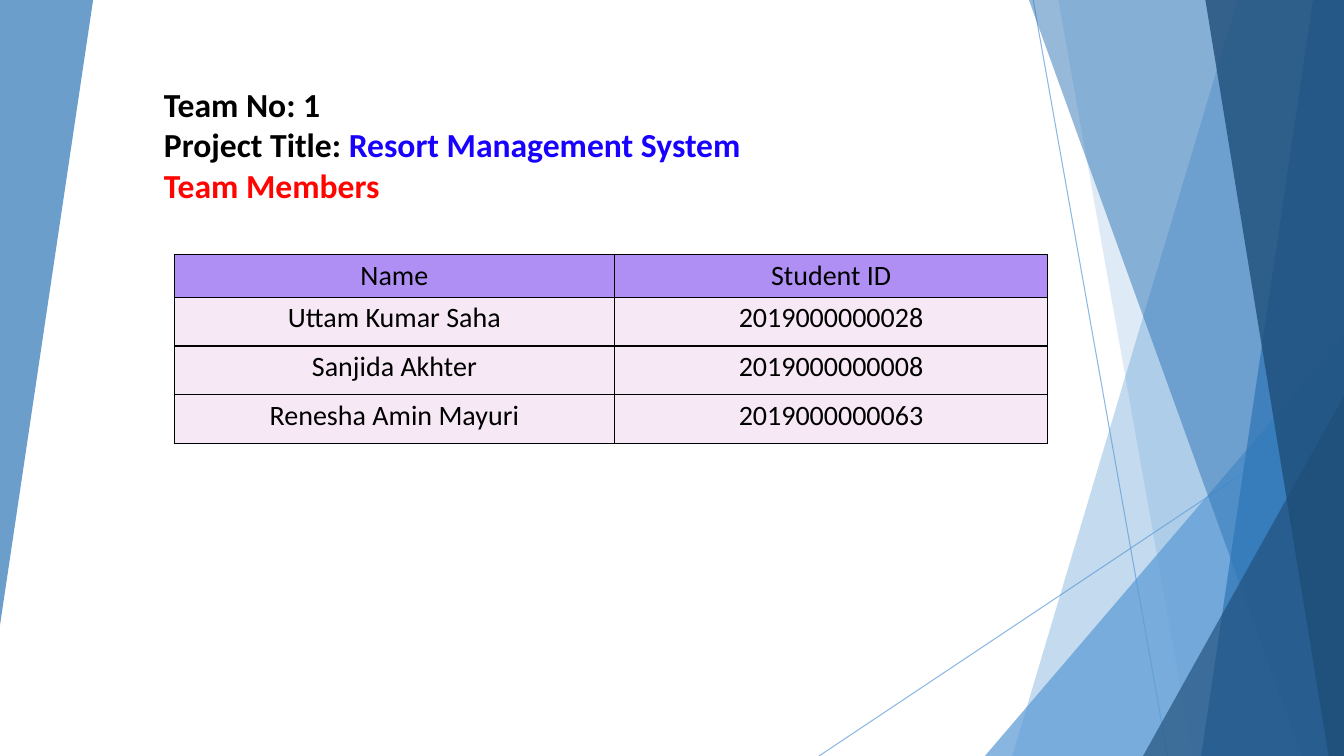
from dataclasses import dataclass

import pptx
import pptx.dml.color
import pptx.enum.shapes
import pptx.enum.text
import pptx.oxml
import pptx.oxml.ns
import pptx.util
from lxml import etree

Pt = pptx.util.Pt
qn = pptx.oxml.ns.qn
WIDTH, HEIGHT = 960, 540


@dataclass(frozen=True)
class Theme:
    """Colours and type sizes of the slide."""
    font: str = "Calibri"
    heading_size: int = 24
    table_size: int = 20
    black: str = "000000"
    title_blue: str = "1800FF"
    member_red: str = "FF0400"
    header_fill: str = "AF8FF4"
    body_fill: str = "F6E9F5"
    light: str = "5B9BD5"
    medium: str = "2E75B6"
    dark: str = "1F4E79"


THEME = Theme()


def rgb(value):
    """Return the colour object for a hex value."""
    return pptx.dml.color.RGBColor.from_string(value)


def set_alpha(element, percent):
    """Make the first colour inside an element partly transparent."""
    color = next(element.iter(qn("a:srgbClr")))
    etree.SubElement(color, qn("a:alpha")).set("val", str(percent * 1000))


def paint(shape, color, percent):
    """Give a facet its translucent fill, without outline or shadow."""
    shape.shadow.inherit = False
    shape.fill.solid()
    shape.fill.fore_color.rgb = rgb(color)
    set_alpha(shape.fill._xPr, percent)
    shape.line.fill.background()


def add_ray(slide, start, end):
    """Draw one thin translucent line."""
    ray = slide.shapes.add_connector(
        pptx.enum.shapes.MSO_CONNECTOR.STRAIGHT, *map(Pt, start + end))
    ray.line.width = Pt(0.75)
    ray.line.color.rgb = rgb(THEME.light)
    properties = ray._element.spPr
    set_alpha(properties, 70)
    etree.SubElement(properties, qn("a:effectLst"))


def add_panel(slide, box, top_left, bottom_left, color, percent):
    """Draw a full-height panel with a slanted left edge, flush with the box's right."""
    left, top, width, height = box
    right, bottom = left + width, top + height
    builder = slide.shapes.build_freeform(left + top_left, top, scale=Pt(1))
    builder.add_line_segments(
        [(right, top), (right, bottom), (left + bottom_left, bottom)], close=True)
    paint(builder.convert_to_shape(), color, percent)


def add_wedge(slide, box, color, percent, rotation=0):
    """Draw a right triangle whose apex is above its right end."""
    wedge = slide.shapes.add_shape(
        pptx.enum.shapes.MSO_SHAPE.ISOSCELES_TRIANGLE, *map(Pt, box))
    wedge.adjustments[0] = 1
    wedge.rotation = rotation
    paint(wedge, color, percent)


def add_right_facets(slide, box):
    """Build the overlapping facets on the right of the slide."""
    left, top, width, height = box
    right, bottom = left + width, top + height
    add_ray(slide, (left + 35, top), (left + 131, bottom))
    add_ray(slide, (right, top + 290), (left - 118, bottom))

    def corner_wedge(wedge_width, wedge_height, color, percent):
        add_wedge(slide, (right - wedge_width, bottom - wedge_height,
                          wedge_width, wedge_height), color, percent)

    add_panel(slide, box, 181, 20, THEME.light, 36)
    add_panel(slide, box, 53, 149, THEME.light, 20)
    corner_wedge(256.5, 300, THEME.light, 72)
    add_panel(slide, box, 32, 226.5, THEME.medium, 50)
    add_panel(slide, box, 235, 155, THEME.medium, 70)
    add_panel(slide, box, 158, 246, THEME.dark, 80)
    corner_wedge(143.5, 257, THEME.dark, 66)


def add_heading(slide, box):
    """Write the team number, project title and member heading."""
    frame = slide.shapes.add_textbox(*map(Pt, box)).text_frame
    frame.word_wrap = False
    frame.auto_size = pptx.enum.text.MSO_AUTO_SIZE.SHAPE_TO_FIT_TEXT
    frame.vertical_anchor = pptx.enum.text.MSO_ANCHOR.MIDDLE
    lines = [
        [("Team No: 1", THEME.black)],
        [("Project Title: ", THEME.black),
         ("Resort Management System", THEME.title_blue)],
        [("Team Members", THEME.member_red)],
    ]
    for index, pieces in enumerate(lines):
        paragraph = frame.add_paragraph() if index else frame.paragraphs[0]
        paragraph.font.name = THEME.font
        paragraph.font.size = Pt(THEME.heading_size)
        paragraph.font.bold = True
        for text, color in pieces:
            run = paragraph.add_run()
            run.text = text
            run.font.color.rgb = rgb(color)


def style_cell(cell, text, fill):
    """Fill, border and label one table cell."""
    properties = cell._tc.get_or_add_tcPr()
    for side in ("L", "R", "T", "B"):
        border = etree.SubElement(properties, qn(f"a:ln{side}"), w=str(Pt(1)))
        solid = etree.SubElement(border, qn("a:solidFill"))
        etree.SubElement(solid, qn("a:srgbClr"), val=THEME.black)
    cell.fill.solid()
    cell.fill.fore_color.rgb = rgb(fill)
    cell.margin_left = cell.margin_right = Pt(2.9)
    cell.margin_top = cell.margin_bottom = Pt(2.9)
    cell.text = text
    paragraph = cell.text_frame.paragraphs[0]
    paragraph.alignment = pptx.enum.text.PP_ALIGN.CENTER
    paragraph.font.name = THEME.font
    paragraph.font.size = Pt(THEME.table_size)
    paragraph.font.bold = False
    paragraph.font.color.rgb = rgb(THEME.black)


def add_member_table(slide, box):
    """Build the table of team members."""
    members = [
        ("Name", "Student ID"),
        ("Uttam Kumar Saha", "2019000000028"),
        ("Sanjida Akhter", "2019000000008"),
        ("Renesha Amin Mayuri", "2019000000063"),
    ]
    left, top, width, height = box
    header_height, name_width = 30, 314.5
    body_height = (height - header_height) / (len(members) - 1)
    table = slide.shapes.add_table(len(members), 2, *map(Pt, box)).table
    table.columns[0].width = Pt(name_width)
    table.columns[1].width = Pt(width - name_width)
    for index, member in enumerate(members):
        table.rows[index].height = Pt(body_height if index else header_height)
        fill = THEME.body_fill if index else THEME.header_fill
        for column, text in enumerate(member):
            style_cell(table.cell(index, column), text, fill)


def main():
    """Build and save the team slide."""
    presentation = pptx.Presentation()
    presentation.slide_width, presentation.slide_height = Pt(WIDTH), Pt(HEIGHT)
    slide = presentation.slides.add_slide(presentation.slide_layouts[6])
    add_right_facets(slide, (703, 0, WIDTH - 703, HEIGHT))
    add_wedge(slide, (0, 0, 66.5, 446.5), THEME.medium, 70, rotation=180)
    add_member_table(slide, (124.5, 182, 624, 134.4))
    add_heading(slide, (110, 56, 430.5, 94.5))
    presentation.save("out.pptx")


if __name__ == "__main__":
    main()
